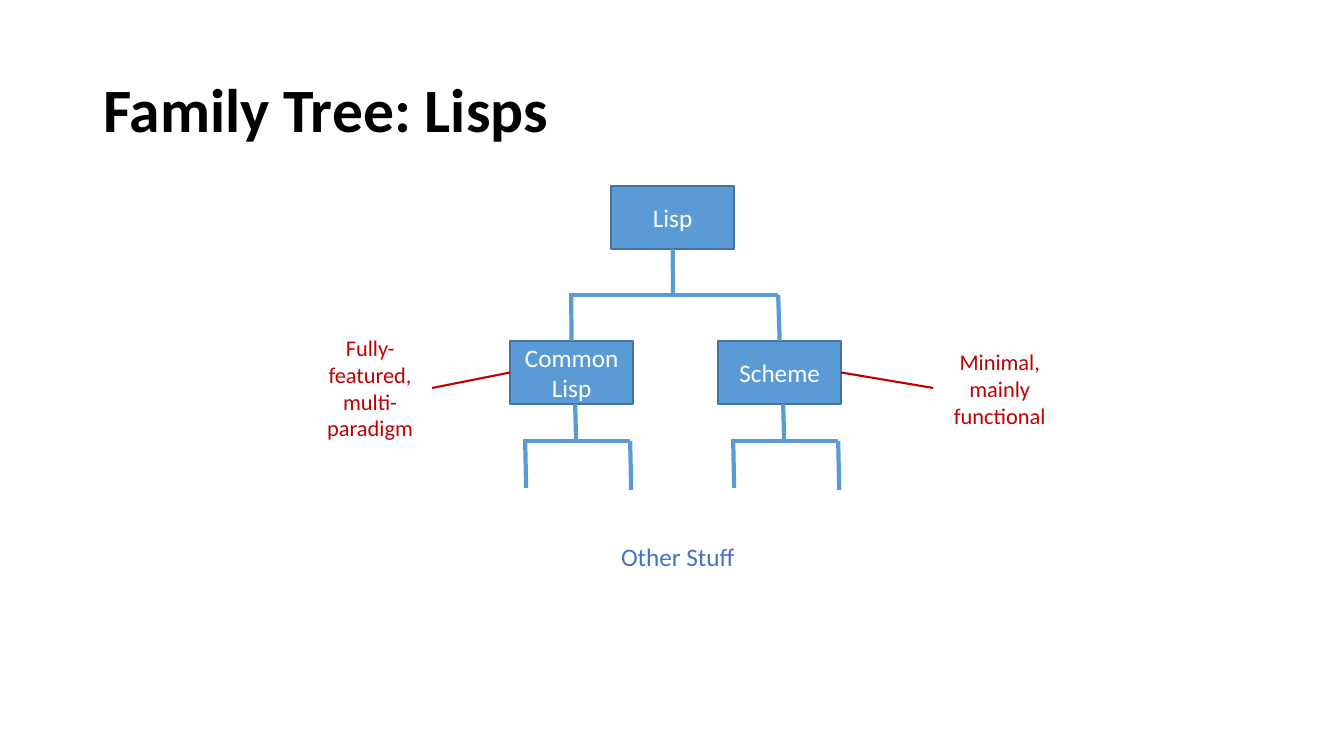
"""Build the Lisp family tree slide."""
import lxml.etree
import pptx
import pptx.dml.color
import pptx.enum.shapes
import pptx.enum.text
import pptx.oxml.ns
import pptx.util

PX = 914400 / 100.8
FONT = "Calibri"
BLUE, BORDER, RED = "5B9BD5", "43739E", "C00000"
LEFT, CENTER = pptx.enum.text.PP_ALIGN.LEFT, pptx.enum.text.PP_ALIGN.CENTER
TOP_SIDE, LEFT_SIDE, BOTTOM_SIDE, RIGHT_SIDE = range(4)

TITLE = ("Family Tree: Lisps", (93, 40, 1159, 146))
BOX_SIZE = (123, 63)
BOXES = {"Lisp": (611, 186), "Common Lisp": (510, 341), "Scheme": (718, 341)}
NOTES = [
    ("Other Stuff", (611, 536, 150, 40), 18, "4472C4", LEFT),
    ("Minimal, mainly functional", (933, 343, 133, 92), 16, RED, CENTER),
    ("Fully-featured, multi-paradigm", (308, 329, 124, 119), 16, RED, CENTER),
]
POINTERS = [((933, 388), "Scheme", RIGHT_SIDE), ((432, 388), "Common Lisp", LEFT_SIDE)]
ROOT_FORK = {"stem": (672, 249), "bar": (571, 778, 295)}
CHILD_FORK = {"stem": (575, 404), "bar": (525, 630, 441)}
CHILD_OFFSETS = (0, 208)
DROP, LEAN, OVERLAP = 49, 1, 2


def emu(*lengths):
    return [pptx.util.Emu(round(length * PX)) for length in lengths]


def color(value):
    return pptx.dml.color.RGBColor.from_string(value)


def write(shape, text, size, ink, alignment, bold=False):
    shape.text_frame.text = text
    shape.text_frame.word_wrap = True
    paragraph = shape.text_frame.paragraphs[0]
    paragraph.alignment = alignment
    font = paragraph.runs[0].font
    font.name, font.size, font.bold = FONT, pptx.util.Pt(size), bold
    font.color.rgb = color(ink)
    return paragraph


def add_line(slide, start, end, ink=BLUE, width=3):
    line = slide.shapes.add_connector(
        pptx.enum.shapes.MSO_CONNECTOR.STRAIGHT, *emu(*start, *end))
    line.line.color.rgb = color(ink)
    line.line.width = pptx.util.Pt(width)
    lxml.etree.SubElement(line._element.spPr, pptx.oxml.ns.qn("a:effectLst"))
    return line


def add_fork(slide, stem, bar, offset=0):
    stem_x, stem_y = stem
    left, right, bar_y = bar
    spans = (
        (stem_x, stem_y, bar_y + OVERLAP),
        (left, bar_y - OVERLAP, bar_y - OVERLAP + DROP),
        (right, bar_y, bar_y + DROP),
    )
    lines = [
        add_line(slide, (x + offset, top), (x + offset + LEAN, bottom))
        for x, top, bottom in spans
    ]
    add_line(slide, (left + offset, bar_y), (right + offset, bar_y))
    return lines


def add_box(slide, name, corner):
    box = slide.shapes.add_shape(
        pptx.enum.shapes.MSO_SHAPE.RECTANGLE, *emu(*corner, *BOX_SIZE))
    box.shadow.inherit = False
    box.fill.solid()
    box.fill.fore_color.rgb = color(BLUE)
    box.line.color.rgb = color(BORDER)
    box.line.width = pptx.util.Pt(1)
    box.text_frame.vertical_anchor = pptx.enum.text.MSO_ANCHOR.MIDDLE
    write(box, name, 18, "FFFFFF", CENTER)
    return box


def main():
    presentation = pptx.Presentation()
    presentation.slide_width = pptx.util.Inches(13.33)
    presentation.slide_height = pptx.util.Inches(7.5)
    slide = presentation.slides.add_slide(presentation.slide_layouts[5])

    text, place = TITLE
    title = slide.shapes.title
    title.left, title.top, title.width, title.height = emu(*place)
    title.text_frame.vertical_anchor = pptx.enum.text.MSO_ANCHOR.MIDDLE
    write(title, text, 44, "000000", LEFT, bold=True).line_spacing = 0.9

    boxes = {name: add_box(slide, name, corner) for name, corner in BOXES.items()}

    stem, left_leg, right_leg = add_fork(slide, **ROOT_FORK)
    stem.begin_connect(boxes["Lisp"], BOTTOM_SIDE)
    left_leg.end_connect(boxes["Common Lisp"], TOP_SIDE)
    right_leg.end_connect(boxes["Scheme"], TOP_SIDE)
    for offset in CHILD_OFFSETS:
        add_fork(slide, **CHILD_FORK, offset=offset)

    for text, place, size, ink, alignment in NOTES:
        note = slide.shapes.add_textbox(*emu(*place))
        write(note, text, size, ink, alignment)
        note.text_frame.auto_size = pptx.enum.text.MSO_AUTO_SIZE.SHAPE_TO_FIT_TEXT

    for start, name, side in POINTERS:
        pointer = add_line(slide, start, BOXES[name], RED, 1.5)
        pointer.end_connect(boxes[name], side)

    presentation.save("out.pptx")


if __name__ == "__main__":
    main()
